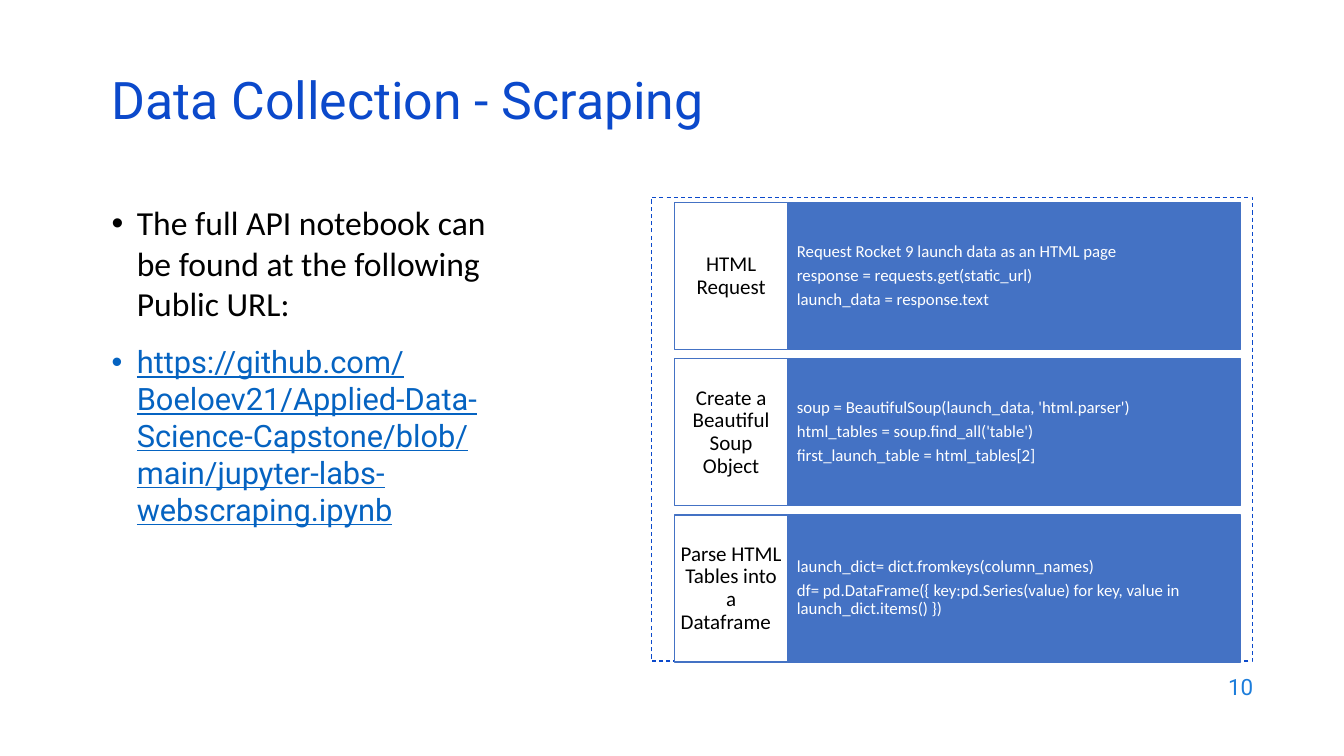
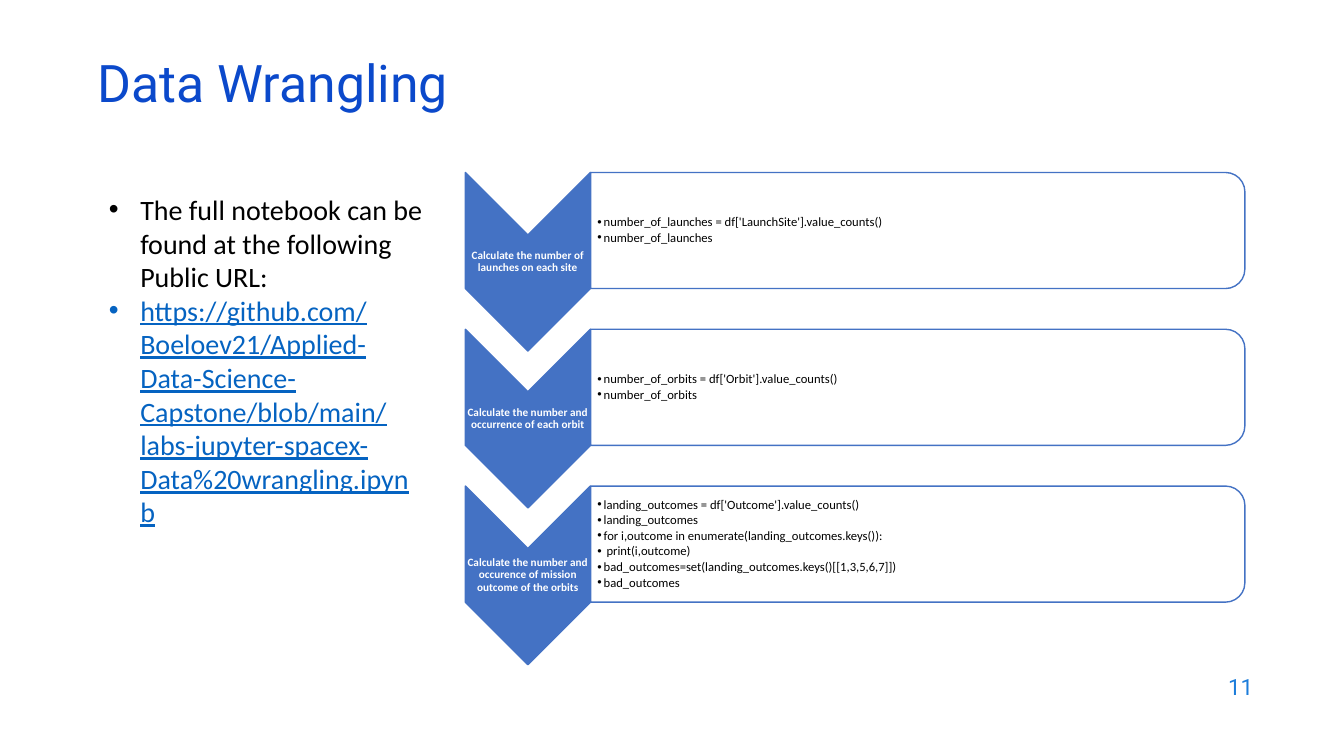
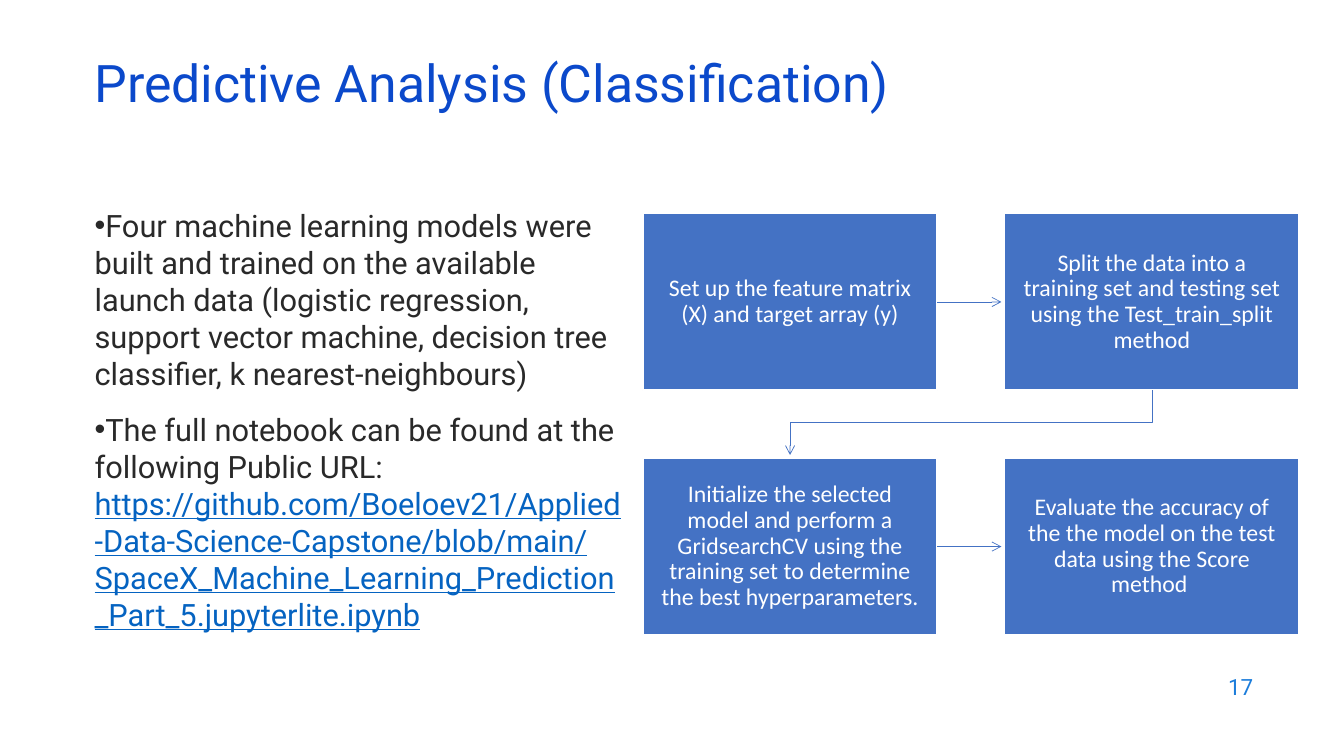
from dataclasses import dataclass, replace

from lxml.etree import SubElement
from pptx import Presentation
from pptx.dml.color import RGBColor
from pptx.enum.dml import MSO_LINE
from pptx.enum.shapes import MSO_CONNECTOR, MSO_SHAPE
from pptx.enum.text import MSO_ANCHOR, PP_ALIGN
from pptx.oxml.ns import qn
from pptx.util import Pt

COLORS = {
    "title": "0B49CB", "number": "1C7DDB", "link": "0563C1",
    "accent": "4472C4", "white": "FFFFFF", "black": "000000", "dark": "292929",
}
DEFAULT_INSETS = (7.2, 3.6)


@dataclass(frozen=True)
class Style:
    size: float
    font: str = "Calibri"
    color: str = "black"
    bold: bool = False
    align: PP_ALIGN = PP_ALIGN.LEFT
    line: float = 1.0
    before: float = 0
    after: float = 0
    hanging: float | None = None  # bullet indent; None means no bullet


TITLE = Style(37, "Roboto", "title", line=0.7)
NUMBER = Style(16, "Roboto", "number", align=PP_ALIGN.RIGHT)
BODY = Style(22, "Roboto", "dark", before=14, hanging=18)
CODE = Style(12, color="white", line=0.9, after=4.2)
CODE_LABEL = Style(15, align=PP_ALIGN.CENTER, line=0.9, after=5.25)
CHEVRON_LABEL = Style(8, color="white", bold=True, align=PP_ALIGN.CENTER,
                      line=0.9, after=2.8)
CODE_BULLET = Style(9, line=0.9, after=1.35, hanging=4.5)
STEP = Style(17, color="white", align=PP_ALIGN.CENTER, line=0.9, after=5.95)


def rgb(name):
    return RGBColor.from_string(COLORS[name])


# Text
def add_bullet(paragraph, hanging, color):
    properties = paragraph._p.get_or_add_pPr()
    properties.set("marL", str(Pt(hanging)))
    properties.set("indent", str(-Pt(hanging)))
    bullet_color = SubElement(properties, qn("a:buClr"))
    SubElement(bullet_color, qn("a:srgbClr")).set("val", COLORS[color])
    SubElement(properties, qn("a:buFont")).set("typeface", "Arial")
    SubElement(properties, qn("a:buChar")).set("char", "•")


def write_paragraph(paragraph, runs, style, first):
    if style.hanging is not None:
        linked = runs[0].startswith("https://")
        add_bullet(paragraph, style.hanging, "link" if linked else style.color)
    paragraph.alignment = style.align
    paragraph.line_spacing = style.line
    paragraph.space_before = Pt(0 if first else style.before)
    paragraph.space_after = Pt(style.after)
    font = paragraph.font
    font.name, font.size, font.bold = style.font, Pt(style.size), style.bold
    font.color.rgb = rgb(style.color)
    for text in runs:
        run = paragraph.add_run()
        run.text = text
        if text.startswith("https://"):
            run.font.color.rgb = rgb("link")
            run.font.underline = True


def write(shape, items, insets=DEFAULT_INSETS, anchor=MSO_ANCHOR.MIDDLE):
    """Fill a shape with (runs, style) paragraphs."""
    frame = shape.text_frame
    frame.word_wrap = True
    frame.vertical_anchor = anchor
    frame.margin_left = frame.margin_right = Pt(insets[0])
    frame.margin_top = frame.margin_bottom = Pt(insets[1])
    for index, (runs, style) in enumerate(items):
        paragraph = frame.add_paragraph() if index else frame.paragraphs[0]
        write_paragraph(paragraph, runs, style, index == 0)


def add_text(slide, box, items, **options):
    shape = slide.shapes.add_textbox(*map(Pt, box))
    write(shape, items, **options)
    return shape


def add_body(slide, box, items):
    add_text(slide, box, items, anchor=MSO_ANCHOR.TOP)


# Shapes
def add_box(slide, box, fill, line, width=1, kind=MSO_SHAPE.RECTANGLE):
    shape = slide.shapes.add_shape(kind, *map(Pt, box))
    shape.shadow.inherit = False
    if fill:
        shape.fill.solid()
        shape.fill.fore_color.rgb = rgb(fill)
    else:
        shape.fill.background()
    shape.line.color.rgb = rgb(line)
    shape.line.width = Pt(width)
    return shape


def add_turned(slide, box, fill, kind):
    """Add a shape turned by 90 degrees so that it covers the given box."""
    left, top, width, height = box
    shift = (width - height) / 2
    shape = add_box(slide, (left + shift, top - shift, height, width),
                    fill, "accent", kind=kind)
    shape.rotation = 90


def add_arrow(slide, start, end, kind=MSO_CONNECTOR.STRAIGHT):
    connector = slide.shapes.add_connector(kind, *map(Pt, (*start, *end)))
    connector.line.color.rgb = rgb("accent")
    connector.line.width = Pt(0.5)
    line = connector.line._get_or_add_ln()
    SubElement(line, qn("a:tailEnd")).set("type", "arrow")
    SubElement(connector._element.spPr, qn("a:effectLst"))
    return connector


def add_return_arrow(slide, start, end):
    """Add an elbow that leaves downwards and comes back to the left."""
    middle_x, middle_y = (start[0] + end[0]) / 2, (start[1] + end[1]) / 2
    half_drop, half_run = (end[1] - start[1]) / 2, (start[0] - end[0]) / 2
    connector = add_arrow(slide, (middle_x - half_drop, middle_y - half_run),
                          (middle_x + half_drop, middle_y + half_run),
                          MSO_CONNECTOR.ELBOW)
    connector.rotation = 90


# Slides
def add_slide(presentation, title, number, left, top):
    slide = presentation.slides.add_slide(presentation.slide_layouts[6])
    add_text(slide, (left, top, 828, 43.2), [([title], TITLE)])
    add_text(slide, (686.2, 474.5, 216, 31.7), [([number], NUMBER)])
    return slide


def build_scraping(presentation):
    slide = add_slide(presentation, "Data Collection - Scraping", "10", 72.7, 54.7)
    add_body(slide, (72.7, 141, 309.6, 300), [
        (["The full API notebook can be found at the following Public URL:"],
         replace(BODY, size=24, font="Calibri", color="black")),
        (["https://github.com/Boeloev21/Applied-Data-Science-Capstone/blob/main/"
          "jupyter-labs-webscraping.ipynb"], BODY),
    ])
    frame = add_box(slide, (465.1, 141, 429.9, 331.2), None, "title", 0.75)
    frame.line.dash_style = MSO_LINE.DASH

    rows = [
        ("HTML Request",
         ["Request Rocket 9 launch data as an HTML page",
          "response = requests.get(static_url)",
          "launch_data = response.text"]),
        ("Create a Beautiful Soup Object",
         ["soup = BeautifulSoup(launch_data, 'html.parser')",
          "html_tables = soup.find_all('table')",
          "first_launch_table = html_tables[2]"]),
        ("Parse HTML Tables into a Dataframe\t",
         ["launch_dict= dict.fromkeys(column_names)",
          "df= pd.DataFrame({ key:pd.Series(value) for key, value in "
          "launch_dict.items() })"]),
    ]
    for index, (label, lines) in enumerate(rows):
        top = 144.8 + 111.5 * index
        code = add_box(slide, (562.7, top, 323.3, 105), "accent", "accent")
        write(code, [([line], CODE) for line in lines], insets=(6.5, 26.6))
        name = add_box(slide, (481.8, top, 80.9, 105), "white", "accent")
        write(name, [([label], CODE_LABEL)], insets=(4.3, 10))


def build_wrangling(presentation):
    slide = add_slide(presentation, "Data Wrangling", "11", 62.6, 42.5)
    stages = [
        ("Calculate the number of launches on each site",
         ["number_of_launches = df['LaunchSite'].value_counts()",
          "number_of_launches"]),
        ("Calculate the number and occurrence of each orbit",
         ["number_of_orbits = df['Orbit'].value_counts()",
          "number_of_orbits"]),
        ("Calculate the number and occurence of mission outcome of the orbits",
         ["landing_outcomes = df['Outcome'].value_counts()",
          "landing_outcomes",
          "for i,outcome in enumerate(landing_outcomes.keys()):",
          " print(i,outcome)",
          "bad_outcomes=set(landing_outcomes.keys()[[1,3,5,6,7]])",
          "bad_outcomes"]),
    ]
    for index, (label, lines) in enumerate(stages):
        top = 123.2 + 112 * index
        add_turned(slide, (332.4, top, 89.3, 127.6), "accent", MSO_SHAPE.CHEVRON)
        add_text(slide, (332.4, top + 44.6, 89.3, 38.3),
                 [([label], CHEVRON_LABEL)], insets=(0.7, 0.7))
        add_turned(slide, (421.9, top, 467.3, 82.9), "white",
                   MSO_SHAPE.ROUND_2_SAME_RECTANGLE)
        code = add_text(slide, (421.9, top + 4, 463.5, 74.9),
                        [([line], CODE_BULLET) for line in lines],
                        insets=(0.7, 0.7))
        code.text_frame.margin_left = Pt(4.8)

    notebook = Style(20, hanging=22.5)
    add_body(slide, (70.6, 133.9, 238.3, 250), [
        (["The full notebook can be found at the following Public URL:"], notebook),
        (["https://github.com/Boeloev21/Applied-Data-Science-Capstone/blob/main/"
          "labs-jupyter-spacex-Data%20wrangling.ipynb"], notebook),
    ])


def build_classification(presentation):
    slide = add_slide(presentation, "Predictive Analysis (Classification)", "17",
                      60.5, 42.5)
    flush = replace(BODY, hanging=0)
    add_body(slide, (60.5, 144, 394.6, 342.7), [
        (["Four machine learning models were built and trained on the available "
          "launch data (logistic regression, support vector machine, decision "
          "tree classifier, k nearest-neighbours)"], flush),
        (["The full notebook can be found at the following Public URL: ",
          "https://github.com/Boeloev21/Applied-Data-Science-Capstone/blob/main/"
          "SpaceX_Machine_Learning_Prediction_Part_5.jupyterlite.ipynb"], flush),
    ])

    # Two by two grid of steps
    left, top, width, height = 459.2, 152.7, 210.2, 126
    column_pitch, row_pitch, clearance = 258.5, 174.7, 2.4
    steps = [
        "Set up the feature matrix (X) and target array (y)",
        "Split the data into a training set and testing set using the "
        "Test_train_split method",
        "Initialize the selected model and perform a GridsearchCV using the "
        "training set to determine the best hyperparameters.",
        "Evaluate the accuracy of the the model on the test data using the "
        "Score method ",
    ]
    for index, text in enumerate(steps):
        row, column = divmod(index, 2)
        x, y = left + column * column_pitch, top + row * row_pitch
        step = add_box(slide, (x, y, width, height), "accent", "white")
        write(step, [([text], STEP)], insets=(10.3, 10.8))
        if column == 0:
            middle = y + height / 2
            add_arrow(slide, (x + width, middle),
                      (x + column_pitch - clearance, middle))
    add_return_arrow(slide, (left + column_pitch + width / 2, top + height),
                     (left + width / 2, top + row_pitch - clearance))


def main():
    presentation = Presentation()
    presentation.slide_width, presentation.slide_height = Pt(960), Pt(540)
    build_scraping(presentation)
    build_wrangling(presentation)
    build_classification(presentation)
    presentation.save("out.pptx")


if __name__ == "__main__":
    main()
